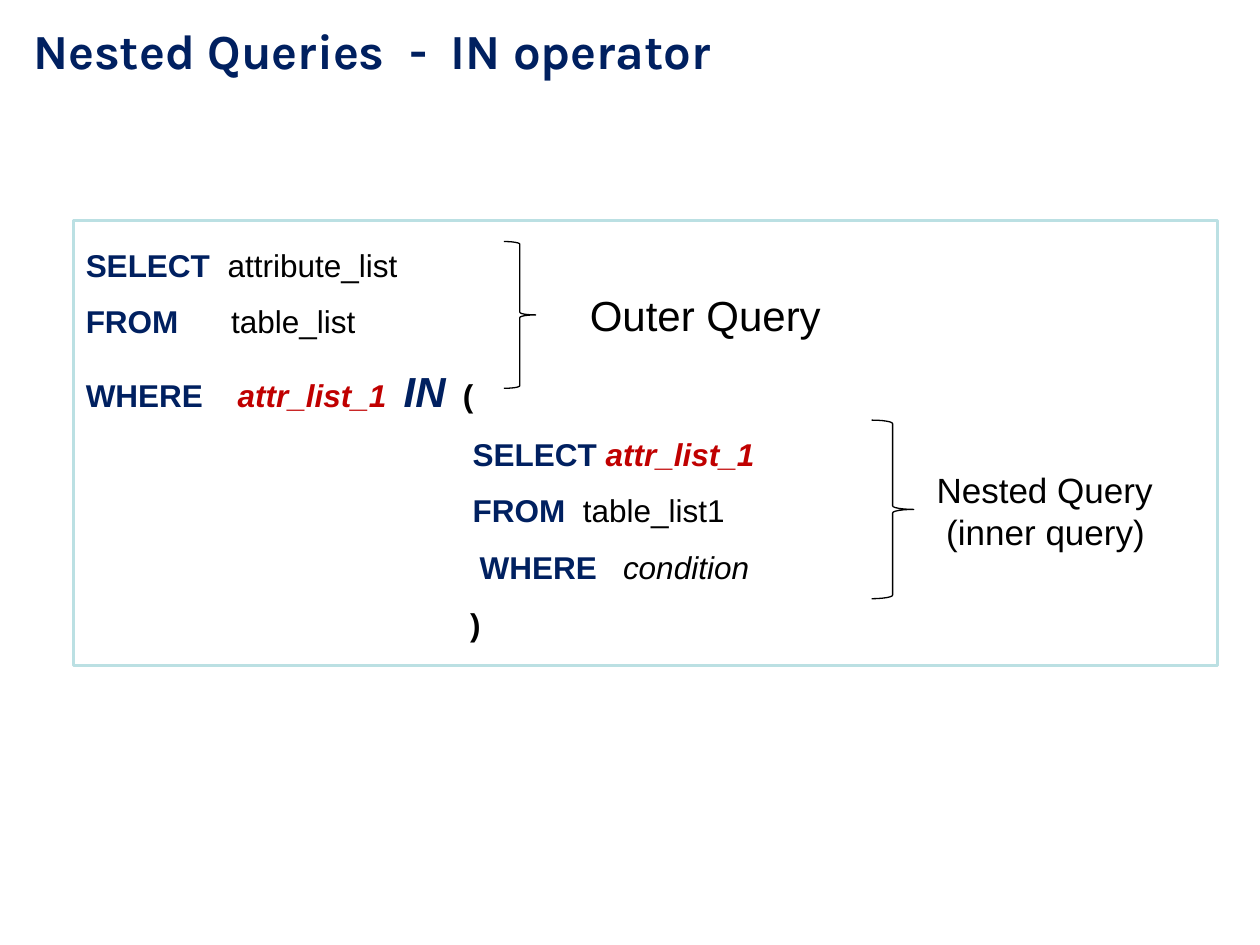
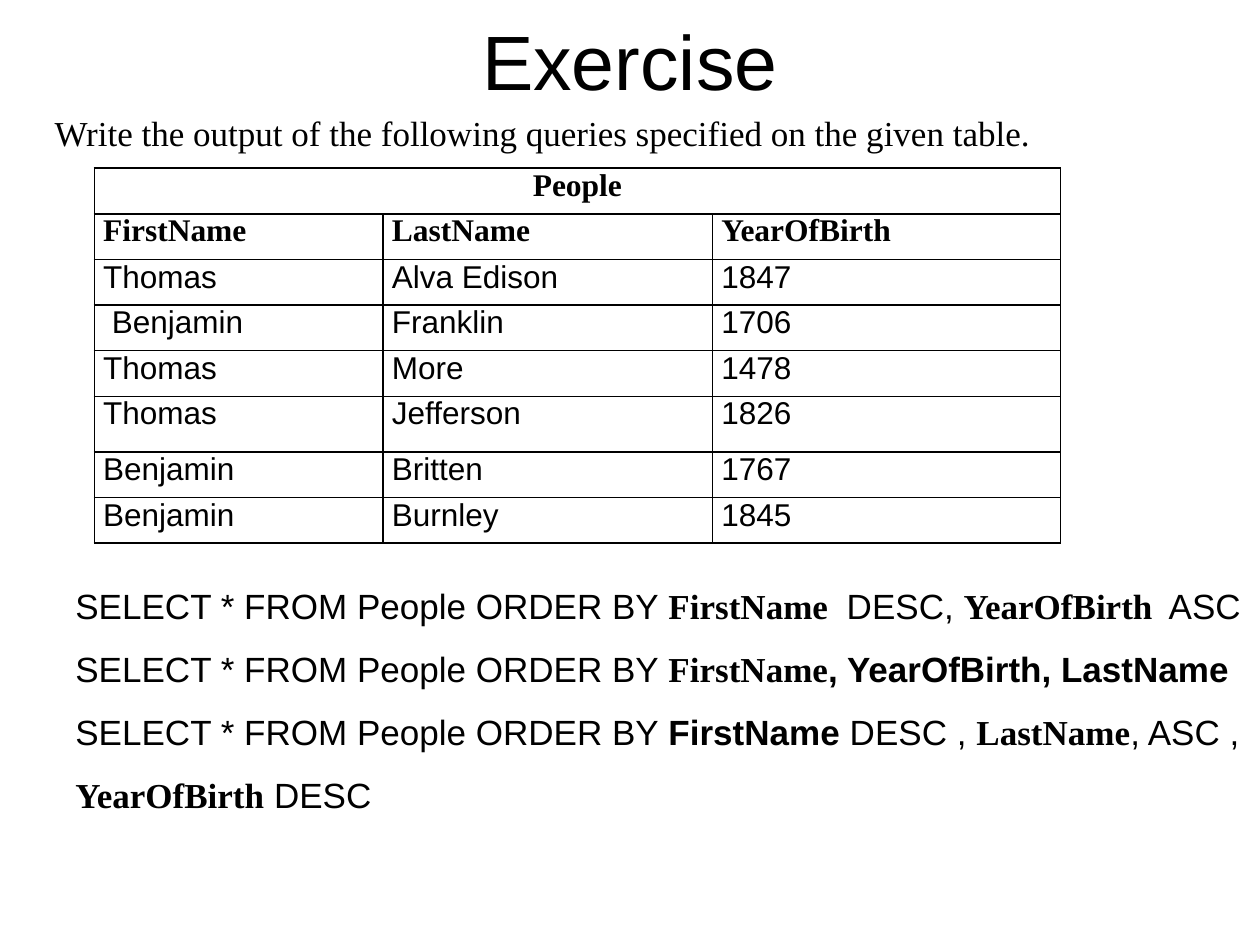
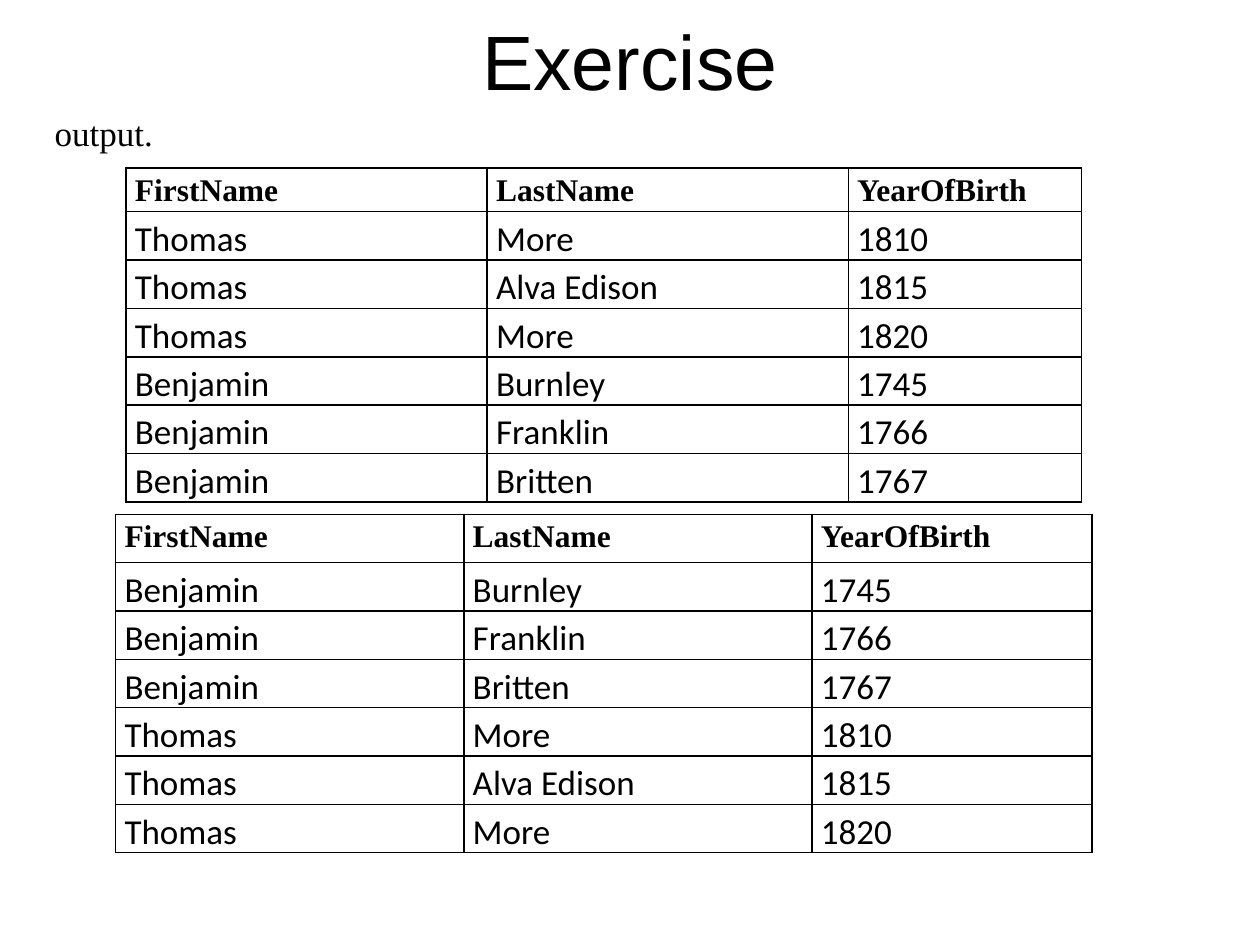
from lxml import etree
from pptx import Presentation
from pptx.dml.color import RGBColor
from pptx.enum import shapes, text
from pptx.oxml import ns
from pptx.util import Cm, Pt

COLORS = {"navy": "002060", "red": "C00000", "black": "000000", "frame": "BBE0E3"}
SANS, SERIF, TABLE_FONT, TITLE_FONT = "Arial", "Times New Roman", "Calibri", "Karla"

STYLES = {
    "plain": {},
    "keyword": {"color": "navy", "bold": True},
    "operator": {"color": "navy", "bold": True, "italic": True, "size": 24},
    "matched": {"color": "red", "bold": True, "italic": True},
    "condition": {"italic": True},
    "bold": {"bold": True},
    "column": {"bold": True, "font": SERIF},
}

# Each line of code: its tab stops in cm, then its (text, style) runs.
NESTED_QUERY = [
    ([2.86], [("SELECT\t", "keyword"), ("attribute_list", "plain")]),
    ([2.93], [("FROM\t", "keyword"), ("table_list", "plain")]),
    ([3.06, 6.41, 7.6], [("WHERE\t", "keyword"), ("attr_list_1\t", "matched"),
                         ("IN", "operator"), ("\t(", "bold")]),
    ([7.8], [("\tSELECT ", "keyword"), ("attr_list_1", "matched")]),
    ([7.8, 10.02], [("\tFROM\t", "keyword"), ("table_list1", "plain")]),
    ([7.94, 10.83], [("\tWHERE\t", "keyword"), ("condition", "condition")]),
    ([7.75], [("\t)", "bold")]),
]

ORDER_BY = ("SELECT * FROM People ORDER BY ", "plain")
ORDERING_QUERIES = [
    ([15.55, 22.04], [ORDER_BY, ("FirstName", "column"), ("\tDESC, ", "plain"),
                      ("YearOfBirth", "column"), ("\tASC", "plain")]),
    ([], [ORDER_BY, ("FirstName", "column"), (", YearOfBirth, LastName", "bold")]),
    ([], [ORDER_BY, ("FirstName", "bold"), (" DESC , ", "plain"), ("LastName", "column"),
          (", ASC , ", "plain"), ("YearOfBirth", "column"), (" DESC", "plain")]),
]

HEADINGS = ("FirstName", "LastName", "YearOfBirth")
PEOPLE = [
    ("Thomas", "Alva Edison", "1847"),
    (" Benjamin", "Franklin", "1706"),
    ("Thomas", "More", "1478"),
    ("Thomas", "Jefferson", "1826"),
    ("Benjamin", "Britten", "1767"),
    ("Benjamin", "Burnley", "1845"),
]
THOMASES = [("Thomas", "More", "1810"), ("Thomas", "Alva Edison", "1815"),
            ("Thomas", "More", "1820")]
BENJAMINS = [("Benjamin", "Burnley", "1745"), ("Benjamin", "Franklin", "1766"),
             ("Benjamin", "Britten", "1767")]


def rgb(name):
    return RGBColor.from_string(COLORS[name])


def set_font(font, size, face, color="black", bold=False, italic=False):
    font.size, font.name = Pt(size), face
    font.bold, font.italic = bold, italic
    font.color.rgb = rgb(color)


def add_tab_stops(paragraph, stops):
    if not stops:
        return
    tab_list = etree.SubElement(paragraph._p.get_or_add_pPr(), ns.qn("a:tabLst"))
    for stop in stops:
        etree.SubElement(tab_list, ns.qn("a:tab"), pos=str(Cm(stop)), algn="l")


def write_lines(frame, lines, size, face=SANS, spacing=1.0, align=text.PP_ALIGN.LEFT):
    """Fill a frame with lines, each a list of tab stops and a list of styled runs."""
    frame.word_wrap = True
    for index, (stops, runs) in enumerate(lines):
        paragraph = frame.paragraphs[0] if index == 0 else frame.add_paragraph()
        add_tab_stops(paragraph, stops)
        paragraph.alignment = align
        paragraph.line_spacing = spacing
        for words, style in runs:
            look = {"size": size, "face": face, **STYLES[style]}
            look["face"] = look.pop("font", look["face"])
            run = paragraph.add_run()
            run.text = words
            set_font(run.font, **look)


def add_text(slide, place, lines, size, middle=False, **style):
    frame = slide.shapes.add_textbox(*map(Cm, place)).text_frame
    frame.vertical_anchor = text.MSO_ANCHOR.MIDDLE if middle else text.MSO_ANCHOR.TOP
    write_lines(frame, lines, size, **style)


def plain_lines(*lines):
    return [([], [(line, "plain")]) for line in lines]


def add_outline(slide, kind, place, color, weight):
    outline = slide.shapes.add_shape(kind, *map(Cm, place))
    outline.shadow.inherit = False
    outline.fill.background()
    outline.line.color.rgb = rgb(color)
    outline.line.width = Pt(weight)
    return outline


def add_code_box(slide, place, lines):
    frame = add_outline(slide, shapes.MSO_SHAPE.RECTANGLE, place, "frame", 1.75).text_frame
    frame.vertical_anchor = text.MSO_ANCHOR.TOP
    write_lines(frame, lines, 18, spacing=1.5)


def add_brace(slide, place):
    add_outline(slide, shapes.MSO_SHAPE.RIGHT_BRACE, place, "black", 0.75)


def border_cell(cell):
    properties = cell._tc.get_or_add_tcPr()
    for side in ("lnL", "lnR", "lnT", "lnB"):
        line = etree.SubElement(properties, ns.qn(f"a:{side}"), w=str(Pt(1)))
        fill = etree.SubElement(line, ns.qn("a:solidFill"))
        etree.SubElement(fill, ns.qn("a:srgbClr"), val=COLORS["black"])
    cell.fill.background()


def fill_cell(cell, words, heading, size, face, spacing, align):
    cell.margin_left = cell.margin_right = Cm(0.18)
    cell.margin_top = cell.margin_bottom = 0
    border_cell(cell)
    paragraph = cell.text_frame.paragraphs[0]
    paragraph.text = words
    paragraph.alignment = align
    paragraph.line_spacing = spacing
    for run in paragraph.runs:
        set_font(run.font, 18 if heading else size, SERIF if heading else face, bold=heading)


def add_people_table(slide, left, top, widths, heights, rows, heading_rows=1,
                     size=20, face=TABLE_FONT, spacing=1.15, align=text.PP_ALIGN.LEFT):
    table = slide.shapes.add_table(len(rows), len(widths), Cm(left), Cm(top),
                                   Cm(sum(widths)), Cm(sum(heights))).table
    for column, width in zip(table.columns, widths):
        column.width = Cm(width)
    for r, (height, row) in enumerate(zip(heights, rows)):
        table.rows[r].height = Cm(height)
        heading = r < heading_rows
        for c, words in enumerate(row):
            fill_cell(table.cell(r, c), words, heading, size, face, spacing,
                      text.PP_ALIGN.JUSTIFY if heading else align)
    return table


def add_exercise_header(slide, instruction):
    add_text(slide, (1.27, 0, 22.86, 2.41), plain_lines("Exercise"), 44, middle=True,
             align=text.PP_ALIGN.CENTER)
    add_text(slide, (0.85, 2.12, 23.07, 1.11), plain_lines(instruction), 20, middle=True,
             face=SERIF)


def build_nested_queries(slide):
    add_code_box(slide, (1.48, 4.45, 23.07, 8.97), NESTED_QUERY)
    add_brace(slide, (10.16, 4.87, 0.64, 2.96))
    add_text(slide, (11.64, 5.72, 6.77, 1.06), plain_lines("Outer Query"), 24)
    add_brace(slide, (17.57, 8.47, 0.85, 3.6))
    add_text(slide, (18.63, 9.31, 4.87, 1.97),
             plain_lines("Nested Query", " (inner query)"), 20)
    title = [([7.58, 8.42], [("Nested Queries\t-\tIN operator", "keyword")])]
    add_text(slide, (0.42, 0.42, 19.69, 1.34), title, 28, face=TITLE_FONT, spacing=0.9)


def build_exercise(slide):
    add_exercise_header(
        slide, "Write the output of the following queries specified on the given table.")
    heights = [0.92] * 5 + [1.12] + [0.92] * 2
    table = add_people_table(slide, 1.9, 3.39, (5.82, 6.64, 7.02), heights,
                             [("People", "", ""), HEADINGS, *PEOPLE], heading_rows=2,
                             size=18, face=SANS, spacing=1.0, align=text.PP_ALIGN.JUSTIFY)
    table.cell(0, 0).merge(table.cell(0, 2))
    table.cell(0, 0).text_frame.paragraphs[0].alignment = text.PP_ALIGN.CENTER
    add_text(slide, (1.27, 11.22, 24.13, 5.38), ORDERING_QUERIES, 20, middle=True,
             spacing=1.5)


def build_output(slide):
    add_exercise_header(slide, "output.")
    add_people_table(slide, 2.54, 3.39, (7.28, 7.28, 4.7), [0.64] + [0.86] * 6,
                     [HEADINGS, *THOMASES, *BENJAMINS])
    add_people_table(slide, 2.33, 10.37, (7.02, 7.02, 5.64), [0.97] * 7,
                     [HEADINGS, *BENJAMINS, *THOMASES])


def main():
    deck = Presentation()
    deck.slide_width, deck.slide_height = Cm(25.4), Cm(19.05)
    blank = deck.slide_layouts[6]
    for build in (build_nested_queries, build_exercise, build_output):
        build(deck.slides.add_slide(blank))
    deck.save("out.pptx")


if __name__ == "__main__":
    main()
